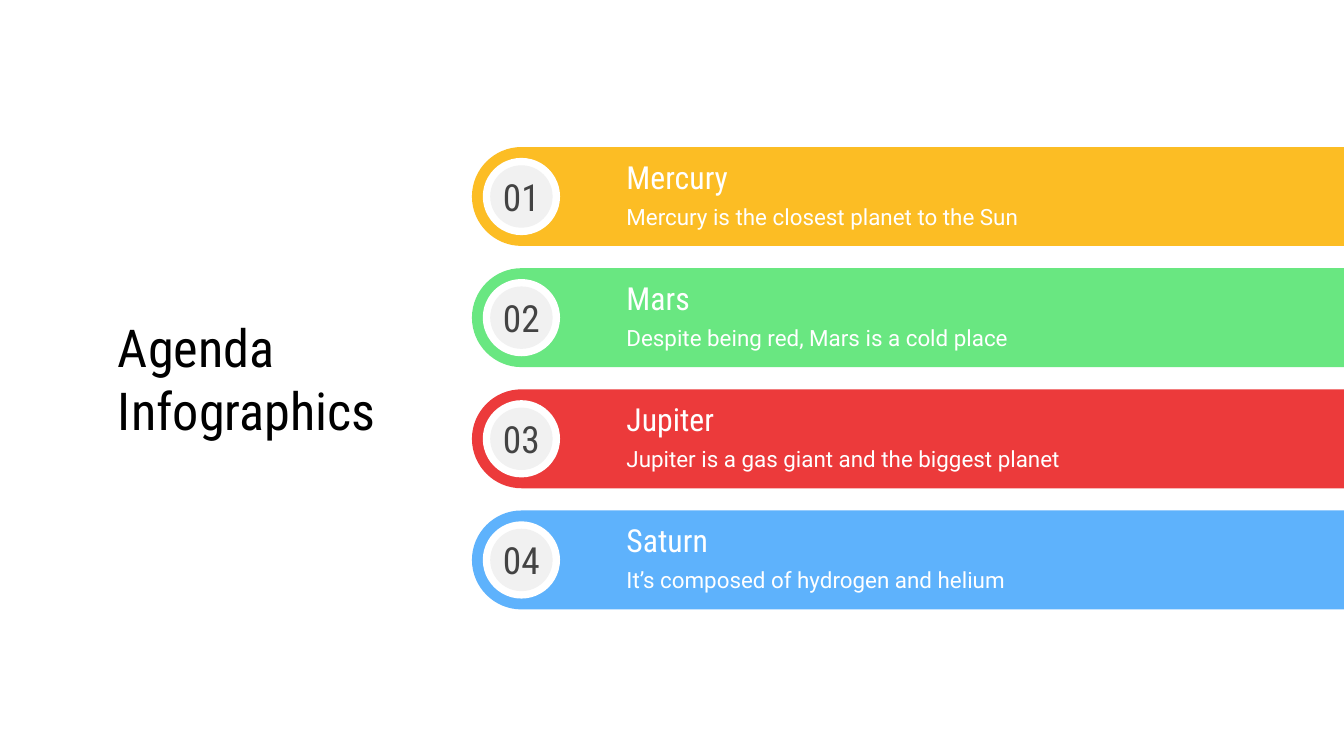
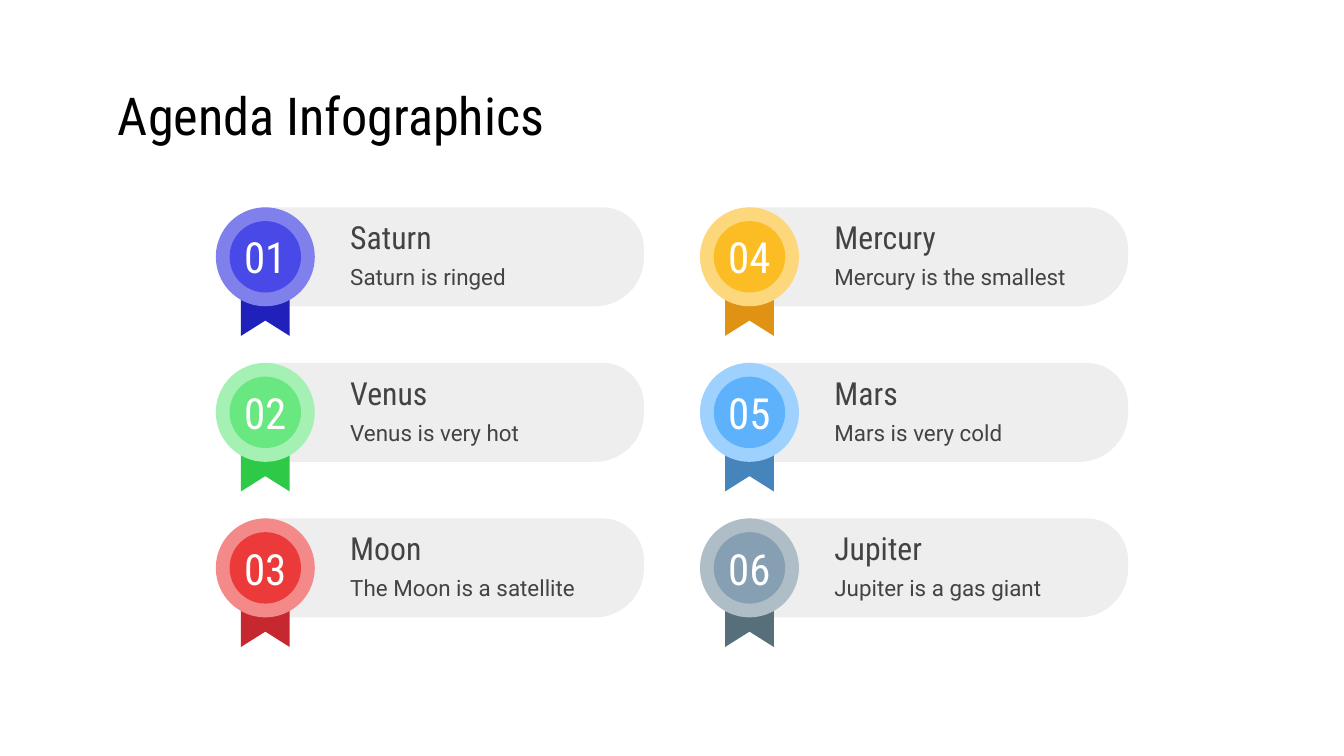
import lxml.etree
import pptx
import pptx.util
import pptx.dml.color
import pptx.enum.shapes
import pptx.enum.text
import pptx.oxml.ns

Cm = pptx.util.Cm
qn = pptx.oxml.ns.qn
ALIGN = pptx.enum.text.PP_ALIGN

COLORS = {
    "black": "000000", "white": "FFFFFF", "text": "434343",
    "disc": "F1F1F1", "panel": "EEEEEE",
    "yellow": "FCBD24", "yellow_light": "FDD77C", "yellow_dark": "E09214",
    "green": "69E781", "green_light": "A5F1B3", "green_dark": "2FC948",
    "red": "EC3A3B", "red_light": "F48989", "red_dark": "C6282F",
    "blue": "5EB2FC", "blue_light": "9ED1FD", "blue_dark": "4685BC",
    "indigo": "4949E7", "indigo_light": "8080ED", "indigo_dark": "2020BA",
    "gray": "869FB2", "gray_light": "AFBDC6", "gray_dark": "576F7A",
}
HEAD_FONT, BODY_FONT = "Roboto Condensed", "Roboto"
SLIDE_W, SLIDE_H = 25.4, 14.29
ROW_H = 1.87
INSET = 0.25
ROUNDNESS = 0.55  # Bezier handle length that gives a quarter circle

BARS = [
    ("Mercury", "Mercury is the closest planet to the Sun", "yellow"),
    ("Mars", "Despite being red, Mars is a cold place", "green"),
    ("Jupiter", "Jupiter is a gas giant and the biggest planet", "red"),
    ("Saturn", "It’s composed of hydrogen and helium", "blue"),
]
MEDALS = [
    ("Saturn", "Saturn is ringed", "indigo"),
    ("Venus", "Venus is very hot", "green"),
    ("Moon", "The Moon is a satellite", "red"),
    ("Mercury", "Mercury is the smallest", "yellow"),
    ("Mars", "Mars is very cold", "blue"),
    ("Jupiter", "Jupiter is a gas giant", "gray"),
]


def rgb(name):
    return pptx.dml.color.RGBColor.from_string(COLORS[name])


def write(sp, text, size, color, font=HEAD_FONT, align=ALIGN.LEFT,
          inset=INSET, wrap=True):
    """Put one formatted run into a shape, centred vertically."""
    tf = sp.text_frame
    tf.auto_size = pptx.enum.text.MSO_AUTO_SIZE.NONE
    tf.word_wrap = wrap
    tf.vertical_anchor = pptx.enum.text.MSO_ANCHOR.MIDDLE
    tf.margin_left = tf.margin_right = Cm(inset)
    tf.margin_top = tf.margin_bottom = Cm(inset)
    p = tf.paragraphs[0]
    p.alignment = align
    r = p.add_run()
    r.text = text
    r.font.name = font
    r.font.size = pptx.util.Pt(size)
    r.font.color.rgb = rgb(color)


def paint(sp, color):
    sp.shadow.inherit = False
    sp.fill.solid()
    sp.fill.fore_color.rgb = rgb(color)
    sp.line.fill.background()
    return sp


def corner(start, apex, end):
    """Bezier curve from start to end, rounding off the apex."""
    handles = [tuple(a + ROUNDNESS * (b - a) for a, b in zip(pt, apex))
               for pt in (start, end)]
    return handles + [end]


def add_outline(shapes, segments, color):
    """Closed freeform in cm; a segment of three points is a curve."""
    pts = [(Cm(x), Cm(y)) for segment in segments for x, y in segment]
    builder = shapes.build_freeform(*pts[0])
    builder.add_line_segments(pts[1:], close=True)
    sp = builder.convert_to_shape()
    lines = sp.element.iter(qn("a:lnTo"))
    lines = iter(list(lines))
    for segment in segments[1:]:
        parts = [next(lines) for _ in segment]
        if len(parts) == 3:
            curve = lxml.etree.Element(qn("a:cubicBezTo"))
            parts[0].addprevious(curve)
            for part in parts:
                curve.append(part[0])
                part.getparent().remove(part)
    return paint(sp, color)


def add_disc(shapes, cx, cy, diameter, color):
    oval = pptx.enum.shapes.MSO_SHAPE.OVAL
    sp = shapes.add_shape(oval, Cm(cx - diameter / 2), Cm(cy - diameter / 2),
                          Cm(diameter), Cm(diameter))
    return paint(sp, color)


def add_number(sp, number, size, color):
    write(sp, f"{number:02d}", size, color, align=ALIGN.CENTER, inset=0,
          wrap=False)


def add_caption(shapes, x, y, w, heading, detail, color):
    """Heading with a line of detail below, from the top of a row."""
    for text, dy, size, font in ((detail, 0.8, 12, BODY_FONT),
                                 (heading, 0.05, 17, HEAD_FONT)):
        sp = shapes.add_textbox(Cm(x), Cm(y + dy), Cm(w), Cm(1.02))
        write(sp, text, size, color, font)


def add_titled_slide(prs, x, y, w, h):
    s = prs.slides.add_slide(prs.slide_layouts[5])
    title = s.shapes.title
    title.left, title.top, title.width, title.height = map(Cm, (x, y, w, h))
    write(title, "Agenda Infographics", 28, "black")
    return s


def add_bar(s, x, y, number, heading, detail, color):
    """Bar with a round left end that runs to the slide edge."""
    shapes = s.shapes.add_group_shape().shapes
    r = ROW_H / 2
    cx, cy, bottom = x + r, y + r, y + ROW_H
    add_outline(shapes, [
        [(cx, y)],
        corner((cx, y), (x, y), (x, cy)),
        corner((x, cy), (x, bottom), (cx, bottom)),
        [(SLIDE_W, bottom)], [(SLIDE_W, y)]], color)
    add_disc(shapes, cx, cy, 1.46, "white")
    add_number(add_disc(shapes, cx, cy, 1.18, "disc"), number, 20, "text")
    add_caption(shapes, x + 2.67, y, 8.92, heading, detail, "white")


def add_medal(s, x, y, number, heading, detail, color):
    """Panel with a ribboned medal on its left."""
    shapes = s.shapes.add_group_shape().shapes
    r = ROW_H / 2
    cx, cy = x + r, y + r
    # Panel: the lower right corner is rounder than the upper one
    left, right, bottom = x + 0.87, x + 8.09, y + ROW_H
    top_r, low_r = 0.78, 0.92
    low_start, low_end = (right - low_r, bottom), (right, bottom - low_r)
    top_start, top_end = (right, y + top_r), (right - top_r, y)
    add_outline(shapes, [
        [(left, y)], [(left, bottom)], [low_start],
        corner(low_start, (right, bottom), low_end), [top_start],
        corner(top_start, (right, y), top_end)], "panel")
    # Ribbon
    half, top, tip = 0.46, y + 1.55, y + 2.43
    add_outline(shapes, [
        [(cx - half, top)], [(cx - half, tip)], [(cx, tip - 0.29)],
        [(cx + half, tip)], [(cx + half, top)]], color + "_dark")
    # Medal
    add_disc(shapes, cx, cy, ROW_H, color + "_light")
    add_number(add_disc(shapes, cx, cy, 1.35, color), number, 23, "white")
    add_caption(shapes, x + 2.29, y, 4.98, heading, detail, "text")


def build_bar_slide(prs):
    s = add_titled_slide(prs, 1.98, 5.97, 5.51, 2.34)
    for i, item in enumerate(BARS):
        add_bar(s, 8.92, 2.78 + 2.29 * i, i + 1, *item)


def build_medal_slide(prs):
    s = add_titled_slide(prs, 1.98, 1.5, 21.46, 1.35)
    for i, item in enumerate(MEDALS):
        col, row = divmod(i, 3)
        add_medal(s, 4.08 + 9.15 * col, 3.92 + 2.94 * row, i + 1, *item)


def main():
    prs = pptx.Presentation()
    prs.slide_width, prs.slide_height = Cm(SLIDE_W), Cm(SLIDE_H)
    build_bar_slide(prs)
    build_medal_slide(prs)
    prs.save("out.pptx")


if __name__ == "__main__":
    main()
